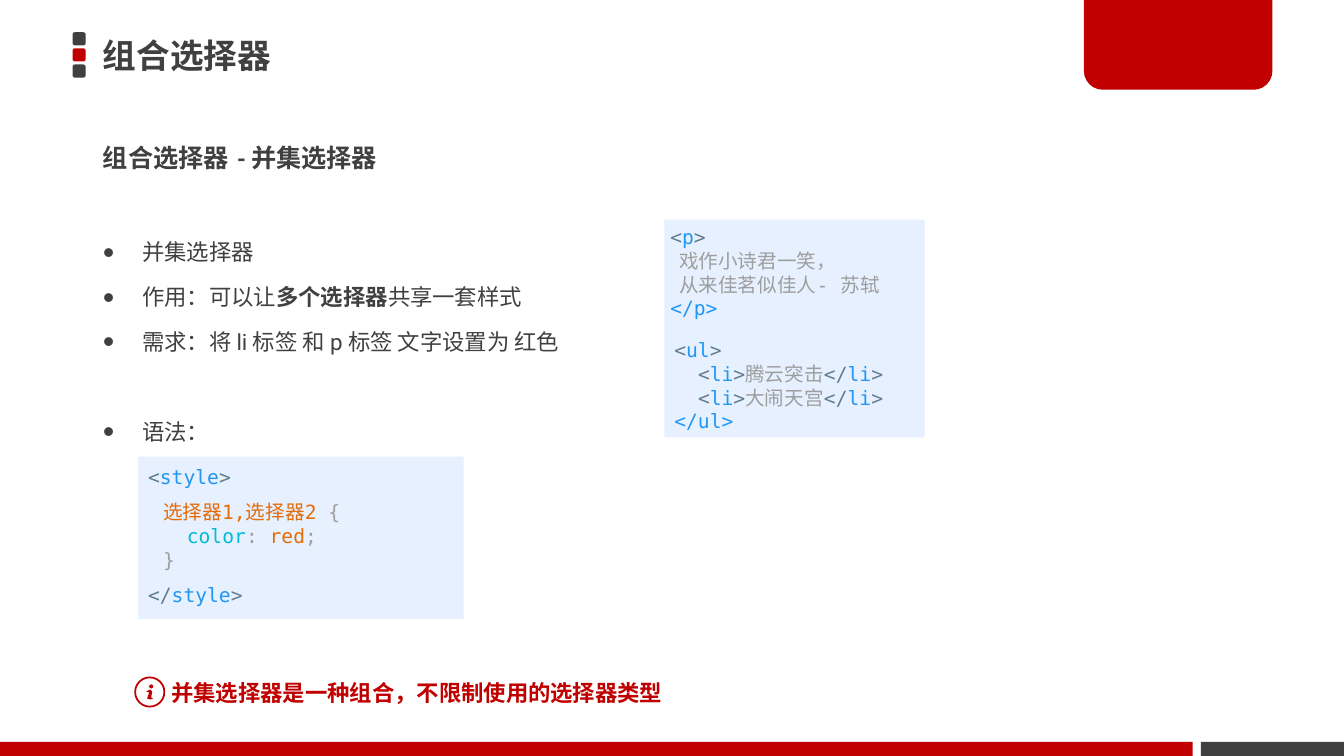
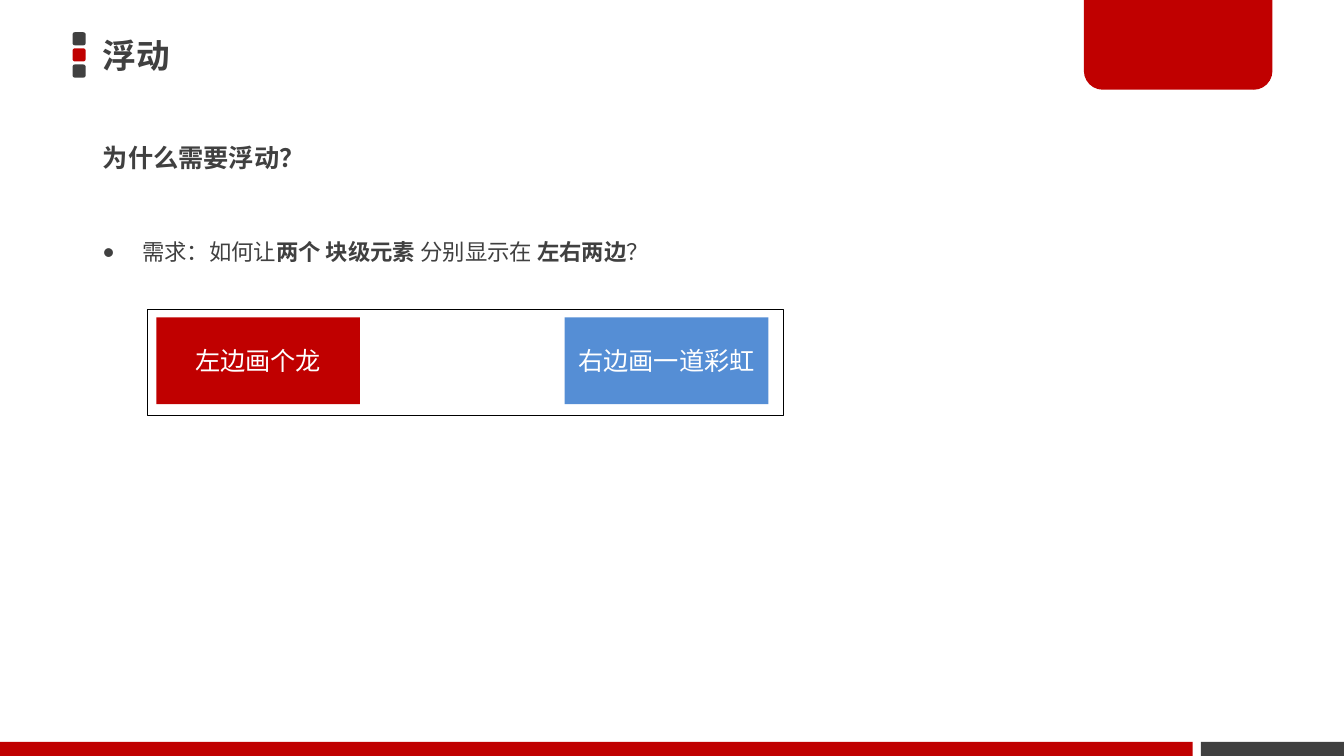
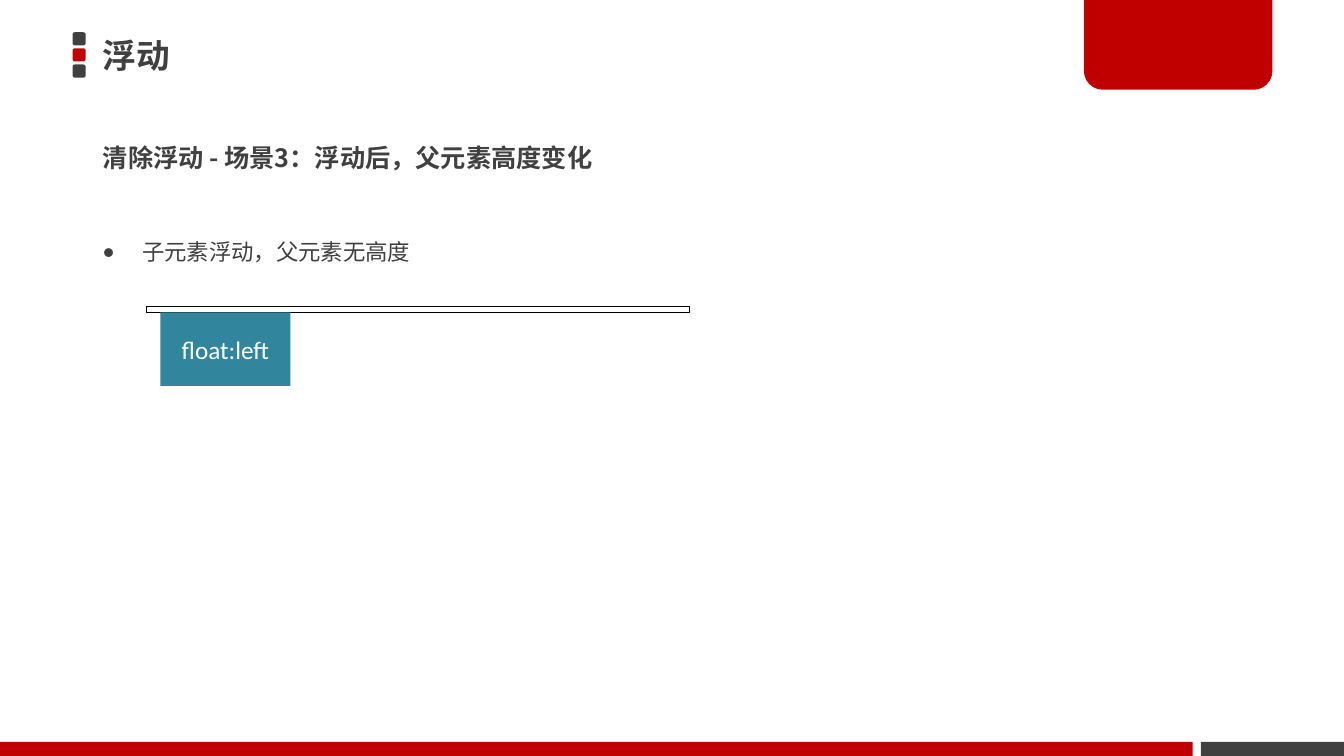
import lxml.etree
import pptx
import pptx.dml.color
import pptx.enum.shapes
import pptx.enum.text
import pptx.oxml.ns
import pptx.util

# Colours and fonts
DARK, RED, WHITE, BLACK = "404040", "C00000", "FFFFFF", "000000"
PALE, SLATE, BLUE, GREY = "E6F0FF", "607D8B", "2196F3", "9E9E9E"
ORANGE, CYAN, SKY, TEAL = "E46C0A", "00BCD4", "558ED5", "31859C"
HAN, SANS, BODY, MONO = "Noto Sans CJK JP", "Calibri", "Roboto", "DejaVu Sans Mono"

Inches, Pt = pptx.util.Inches, pptx.util.Pt
Shape = pptx.enum.shapes.MSO_SHAPE
Align = pptx.enum.text.PP_ALIGN
Anchor = pptx.enum.text.MSO_ANCHOR
qn = pptx.oxml.ns.qn


def rgb(code):
    return pptx.dml.color.RGBColor.from_string(code)


def bold(text):
    return (text, DARK, True)


def tag(name, start="<"):
    return [(start, SLATE), (name, BLUE), (">", SLATE)]


def item(text):
    return [("  ", GREY)] + tag("li") + [(text, GREY)] + tag("li", "</")


class Deck:
    def __init__(self):
        self.show = pptx.Presentation()
        self.show.slide_width = Inches(13.33)
        self.show.slide_height = Inches(7.5)
        self.page = None

    def begin(self, title, head, width=10.77):
        """Start a slide with the shared frame, title and heading."""
        layout = self.show.slide_layouts.get_by_name("Two Content")
        self.page = self.show.slides.add_slide(layout)
        for row, color in enumerate((DARK, RED, DARK)):
            mark = self.shape((0.72, 0.32 + 0.16 * row, 0.13, 0.13), color,
                              kind=Shape.ROUNDED_RECTANGLE)
            mark.adjustments[0] = 0.17
        self.shape((11.91, 7.36, 1.42, 0.14), DARK)
        self.shape((0, 7.36, 11.83, 0.14), RED)
        badge = self.shape((10.75, 0, 1.87, 0.89), RED,
                           kind=Shape.ROUND_2_SAME_RECTANGLE)
        badge.adjustments[0] = 0.21
        badge.rotation = 180
        self.holder(0, (0.92, 0.26, 9.59, 0.57), title, 24)
        self.holder(1, (0.92, 1.28, width, 0.57), head, 18)

    def place(self, shape, box):
        shape.left, shape.top, shape.width, shape.height = map(Inches, box)

    def paint(self, shape, fill=None, line=None, weight=0.75):
        shape.shadow.inherit = False
        if fill:
            shape.fill.solid()
            shape.fill.fore_color.rgb = rgb(fill)
        else:
            shape.fill.background()
        if line:
            shape.line.color.rgb = rgb(line)
            shape.line.width = Pt(weight)
        else:
            shape.line.fill.background()

    def shape(self, box, fill=None, line=None, kind=Shape.RECTANGLE, weight=0.75):
        shape = self.page.shapes.add_shape(kind, *map(Inches, box))
        self.paint(shape, fill, line, weight)
        return shape

    def piece(self, para, part, size, font, color, heavy):
        if isinstance(part, str):
            part = (part, color, heavy)
        run = para.add_run()
        run.text = part[0]
        run.font.size = Pt(size)
        run.font.name = font
        run.font.bold = part[2] if len(part) > 2 else heavy
        run.font.color.rgb = rgb(part[1])
        east = lxml.etree.Element(qn("a:ea"), typeface=HAN)
        run.font._element.find(qn("a:latin")).addnext(east)

    def lines(self, frame, rows, size, font, color=DARK, heavy=False, pitch=None):
        """Fill a frame; each row is a list of text runs."""
        for index, row in enumerate(rows):
            para = frame.add_paragraph() if index else frame.paragraphs[0]
            if pitch:
                para.line_spacing = Pt(pitch)
            for part in row:
                self.piece(para, part, size, font, color, heavy)
        return frame.paragraphs

    def holder(self, index, box, text, size):
        """Title or heading in a template placeholder."""
        shape = self.page.placeholders[index]
        self.place(shape, box)
        frame = shape.text_frame
        frame.auto_size = pptx.enum.text.MSO_AUTO_SIZE.NONE
        frame.vertical_anchor = Anchor.MIDDLE
        para = self.lines(frame, [[text]], size, HAN, heavy=True)[0]
        props = para._p.get_or_add_pPr()
        props.set("marL", "0")
        props.set("indent", "0")
        lxml.etree.SubElement(props, qn("a:buNone"))
        para.alignment = Align.LEFT
        para.space_before = Pt(0)

    def bullets(self, box, rows):
        shape = self.page.placeholders[2]
        self.place(shape, box)
        frame = shape.text_frame
        frame.auto_size = pptx.enum.text.MSO_AUTO_SIZE.NONE
        paras = self.lines(frame, rows, 16, BODY, pitch=29)
        for index, para in enumerate(paras):
            props = para._p.get_or_add_pPr()
            props.set("marL", str(Inches(0.39)))
            props.set("indent", str(-Inches(0.39)))
            tint = lxml.etree.SubElement(props, qn("a:buClr"))
            lxml.etree.SubElement(tint, qn("a:srgbClr"), val=DARK)
            lxml.etree.SubElement(props, qn("a:buSzPct"), val="85000")
            lxml.etree.SubElement(props, qn("a:buFont"), typeface=SANS)
            lxml.etree.SubElement(props, qn("a:buChar"), char="●")
            para.space_before = Pt(3 if index else 0)
        return paras

    def text(self, box, rows, size, font, color=DARK, heavy=False, pitch=None, wrap=True):
        frame = self.page.shapes.add_textbox(*map(Inches, box)).text_frame
        frame.word_wrap = wrap
        return self.lines(frame, rows, size, font, color, heavy, pitch)

    def sample(self, box, rows):
        """Code lines in the fixed-width font."""
        return self.text(box, rows, 14, MONO, SLATE, pitch=17)

    def block(self, box, fill, label):
        """Filled box with a centred label."""
        frame = self.shape(box, fill).text_frame
        frame.vertical_anchor = Anchor.MIDDLE
        para = self.lines(frame, [[label]], 18, SANS, WHITE)[0]
        para.alignment = Align.CENTER

    def info(self, left, top):
        """Ringed letter i."""
        self.shape((left + 0.01, top + 0.01, 0.29, 0.29), line=RED,
                   kind=Shape.OVAL, weight=1.25)
        self.shape((left + 0.15, top + 0.08, 0.04, 0.04), RED, kind=Shape.OVAL)
        stem = [(0.12, 0.15), (0.16, 0.13), (0.18, 0.15), (0.17, 0.21),
                (0.19, 0.22), (0.16, 0.23), (0.13, 0.22), (0.15, 0.16)]
        points = [(Inches(left + x), Inches(top + y)) for x, y in stem]
        maker = self.page.shapes.build_freeform(*points[0])
        maker.add_line_segments(points[1:], close=True)
        self.paint(maker.convert_to_shape(), RED)


def main():
    deck = Deck()

    # Slide 1: grouping selector
    deck.begin("组合选择器", "组合选择器", 1.68)
    deck.text((2.26, 1.36, 1.6, 0.4), [["- 并集选择器"]], 18, SANS,
              heavy=True, pitch=21.5)
    paras = deck.bullets((0.92, 2.18, 5.42, 2.28), [
        ["并集选择器"],
        ["作用：可以让", bold("多个选择器"), "共享一套样式"],
        ["需求：将 li 标签 和 p 标签 文字设置为 红色"],
        ["语法："],
    ])
    paras[-1].space_before = Pt(35)

    # Markup sample
    deck.shape((6.59, 2.18, 2.58, 2.16), PALE)
    deck.sample((6.55, 2.18, 2.5, 1.04), [
        tag("p"),
        [("  戏作小诗君一笑，", GREY)],
        [("  从来佳茗似佳人- 苏轼", GREY)],
        [("</p>", BLUE)],
    ])
    deck.sample((6.59, 3.3, 2.43, 1.04), [
        tag("ul"), item("腾云突击"), item("大闹天宫"), [("</ul>", BLUE)],
    ])

    # Style sample
    deck.shape((1.37, 4.53, 3.23, 1.61), PALE)
    paras = deck.sample((1.37, 4.56, 2.88, 1.51), [tag("style"), tag("style", "</")])
    paras[-1].space_before = Pt(67)
    deck.sample((1.52, 4.91, 2.59, 0.81), [
        [("选择器1,选择器2 ", ORANGE), ("{", GREY)],
        [("  ", ORANGE), ("color", CYAN), (": ", GREY), ("red", ORANGE), (";", GREY)],
        [("}", GREY)],
    ])

    # Closing note
    deck.text((1.6, 6.68, 5.14, 0.37), [["并集选择器是一种组合，不限制使用的选择器类型"]],
              16, SANS, RED, heavy=True, pitch=19.5, wrap=False)
    deck.info(1.33, 6.71)

    # Slide 2: why float
    deck.begin("浮动", "为什么需要浮动？")
    deck.bullets((0.92, 2.18, 10.18, 0.57), [
        ["需求：如何让", bold("两个 块级元素 "), "分别显示在 ", bold("左右两边"), "？"],
    ])
    deck.shape((1.46, 3.07, 6.31, 1.05), line=BLACK)
    deck.block((1.55, 3.15, 2.02, 0.86), RED, "左边画个龙")
    deck.block((5.6, 3.15, 2.02, 0.86), SKY, "右边画一道彩虹")

    # Slide 3: collapsed parent
    deck.begin("浮动", "清除浮动 - 场景3：浮动后，父元素高度变化")
    deck.bullets((0.92, 2.18, 10.18, 1.21), [["子元素浮动，父元素无高度"]])
    deck.shape((1.45, 3.04, 5.39, 0.06), line=BLACK)
    deck.block((1.59, 3.1, 1.29, 0.73), TEAL, "float:left")

    deck.show.save("out.pptx")


if __name__ == "__main__":
    main()
